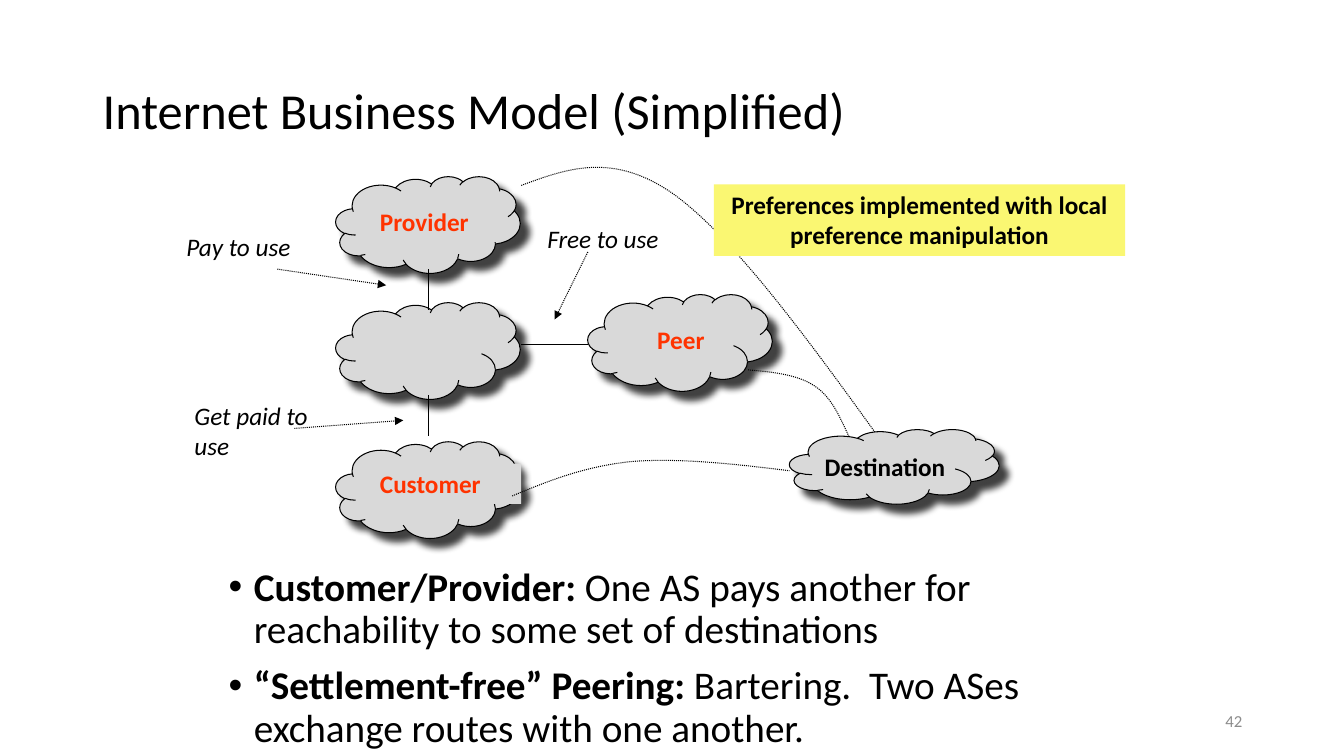
from lxml import etree
from pptx import Presentation
from pptx.dml.color import RGBColor
from pptx.enum.dml import MSO_LINE
from pptx.enum.shapes import MSO_CONNECTOR, MSO_SHAPE
from pptx.enum.text import MSO_ANCHOR, PP_ALIGN
from pptx.oxml.ns import qn
from pptx.util import Inches, Pt

CLOUD, RECTANGLE = MSO_SHAPE.CLOUD, MSO_SHAPE.RECTANGLE
STRAIGHT = MSO_CONNECTOR.STRAIGHT
DOTTED = MSO_LINE.ROUND_DOT
TOP, MIDDLE = MSO_ANCHOR.TOP, MSO_ANCHOR.MIDDLE
LEFT, CENTER, RIGHT = PP_ALIGN.LEFT, PP_ALIGN.CENTER, PP_ALIGN.RIGHT

COLORS = {
    "text": "000000",
    "cloud": "D9D9D9",
    "role": "FF3300",
    "note": "FAF772",
    "number": "8C8C8C",
}
FONT = "Calibri"


def inches(values):
    return [Inches(value) for value in values]


class SlideBuilder:
    def __init__(self, deck):
        self.page = deck.slides.add_slide(deck.slide_layouts[6])

    def color(self, name):
        return RGBColor.from_string(COLORS[name])

    def style_line(self, line, dotted=False):
        line.color.rgb = self.color("text")
        line.width = Pt(0.75)
        if dotted:
            line.dash_style = DOTTED

    def add_span(self, para, text, size, color="text", bold=False, italic=False):
        span = para.add_run()
        span.text = text
        font = span.font
        font.name, font.size = FONT, Pt(size)
        font.bold, font.italic = bold, italic
        font.color.rgb = self.color(color)

    def add_frame(self, area, fill=None, anchor=TOP):
        """Add a wrapping text area, filled when a colour is named."""
        if fill:
            box = self.page.shapes.add_shape(RECTANGLE, *inches(area))
            box.shadow.inherit = False
            box.fill.solid()
            box.fill.fore_color.rgb = self.color(fill)
            box.line.fill.background()
        else:
            box = self.page.shapes.add_textbox(*inches(area))
        frame = box.text_frame
        frame.word_wrap = True
        frame.vertical_anchor = anchor
        return frame

    def add_label(self, text, area, size=18, align=LEFT, fill=None, anchor=TOP, **style):
        para = self.add_frame(area, fill, anchor).paragraphs[0]
        para.alignment = align
        self.add_span(para, text, size, **style)
        return para

    def add_bullets(self, items, area, size=28):
        frame = self.add_frame(area)
        for index, (term, meaning) in enumerate(items):
            para = frame.add_paragraph() if index else frame.paragraphs[0]
            properties = para._p.get_or_add_pPr()
            properties.set("marL", str(Inches(0.25)))
            properties.set("indent", str(-Inches(0.25)))
            etree.SubElement(properties, qn("a:buFont"), typeface="Arial")
            etree.SubElement(properties, qn("a:buChar"), char="•")
            para.line_spacing = 0.9
            if index:
                para.space_before = Pt(10)
            self.add_span(para, term, size, bold=True)
            self.add_span(para, meaning, size)

    def add_cloud(self, left, top, width=1.83, height=0.96):
        cloud = self.page.shapes.add_shape(CLOUD, *inches((left, top, width, height)))
        cloud.fill.solid()
        cloud.fill.fore_color.rgb = self.color("cloud")
        self.style_line(cloud.line)
        cloud.shadow.inherit = False
        effects = cloud._element.spPr.find(qn("a:effectLst"))
        shadow = etree.SubElement(
            effects, qn("a:outerShdw"), blurRad=str(Pt(5)), dist=str(Pt(8.5)),
            dir=str(45 * 60000), algn="tl", rotWithShape="0")
        tint = etree.SubElement(shadow, qn("a:srgbClr"), val=COLORS["text"])
        etree.SubElement(tint, qn("a:alpha"), val="75000")

    def add_line(self, start, end, arrow=False):
        """Add a solid link, or a dotted pointer with an arrowhead."""
        link = self.page.shapes.add_connector(STRAIGHT, *inches(start + end))
        self.style_line(link.line, dotted=arrow)
        if arrow:
            etree.SubElement(link.line._get_or_add_ln(), qn("a:tailEnd"), type="triangle")
        etree.SubElement(link._element.spPr, qn("a:effectLst"))

    def add_route(self, points):
        """Add a dotted Bezier path: a start, then two controls and an end per curve."""
        (left, top), *rest = [inches(point) for point in points]
        builder = self.page.shapes.build_freeform(left, top)
        builder.add_line_segments(rest, close=False)
        route = builder.convert_to_shape()
        route.shadow.inherit = False
        route.fill.background()
        self.style_line(route.line, dotted=True)
        outline = next(route._element.iter(qn("a:path")))
        segments = outline.findall(qn("a:lnTo"))
        for first in range(0, len(segments), 3):
            curve = etree.SubElement(outline, qn("a:cubicBezTo"))
            for segment in segments[first:first + 3]:
                curve.append(segment[0])
                outline.remove(segment)


def main():
    deck = Presentation()
    deck.slide_width, deck.slide_height = Inches(13.33), Inches(7.5)
    slide = SlideBuilder(deck)

    slide.add_label("Internet Business Model (Simplified)", (0.92, 0.4, 11.5, 1.45),
                    size=36, anchor=MIDDLE).line_spacing = 0.9
    slide.add_bullets([
        ("Customer/Provider:",
         " One AS pays another for reachability to some set of destinations"),
        ("“Settlement-free” Peering: ",
         "Bartering.  Two ASes exchange routes with one another."),
    ], (2.17, 5.58, 9, 2.03))
    slide.add_label("42", (9.42, 6.95, 3, 0.4), size=12, align=RIGHT,
                    anchor=MIDDLE, color="number")

    provider_route = [(5.17, 1.84), (5.63, 1.67), (6.09, 1.5), (6.7, 1.94),
                      (7.31, 2.39), (8.07, 3.44), (8.83, 4.5)]
    peer_route = [(7.42, 3.67), (7.67, 3.69), (7.92, 3.72), (8.08, 3.83),
                  (8.25, 3.94), (8.33, 4.14), (8.42, 4.33)]
    customer_route = [(5.08, 4.92), (5.44, 4.77), (5.79, 4.63), (6.25, 4.58),
                      (6.71, 4.54), (7.27, 4.6), (7.83, 4.67)]

    slide.add_route(provider_route)
    for left, top in [(3.33, 3), (5.83, 2.92), (3.33, 1.75), (3.33, 4.38)]:
        slide.add_cloud(left, top)
    for role, area, fill in [
        ("Provider", (3.67, 2, 1.25, 0.4), "cloud"),
        ("Peer", (6.42, 3.17, 1.25, 0.4), None),
        ("Customer", (3.67, 4.6, 1.5, 0.4), "cloud"),
    ]:
        slide.add_label(role, area, fill=fill, color="role", bold=True)

    for start, end in [((4.25, 2.67), (4.25, 3.08)), ((4.25, 3.92), (4.25, 4.33)),
                       ((5.17, 3.42), (5.83, 3.42))]:
        slide.add_line(start, end)

    slide.add_label("Preferences implemented with local preference manipulation",
                    (7.08, 1.83, 4.08, 0.71), align=CENTER, fill="note", bold=True)
    slide.add_cloud(7.83, 4.26, 2.08, 0.74)
    slide.add_route(peer_route)
    slide.add_route(customer_route)
    slide.add_label("Destination", (8.08, 4.43, 1.75, 0.4), bold=True)

    for cost, area, start, end in [
        ("Pay to use", (1.75, 2.25, 1.42, 0.4), (2.75, 2.67), (3.83, 2.83)),
        ("Get paid to use", (1.83, 3.92, 1.42, 0.71), (2.92, 4.25), (4, 4.17)),
        ("Free to use", (5.33, 2.17, 1.67, 0.4), (5.83, 2.5), (5.5, 3.17)),
    ]:
        slide.add_label(cost, area, italic=True)
        slide.add_line(start, end, arrow=True)

    deck.save("out.pptx")


if __name__ == "__main__":
    main()
